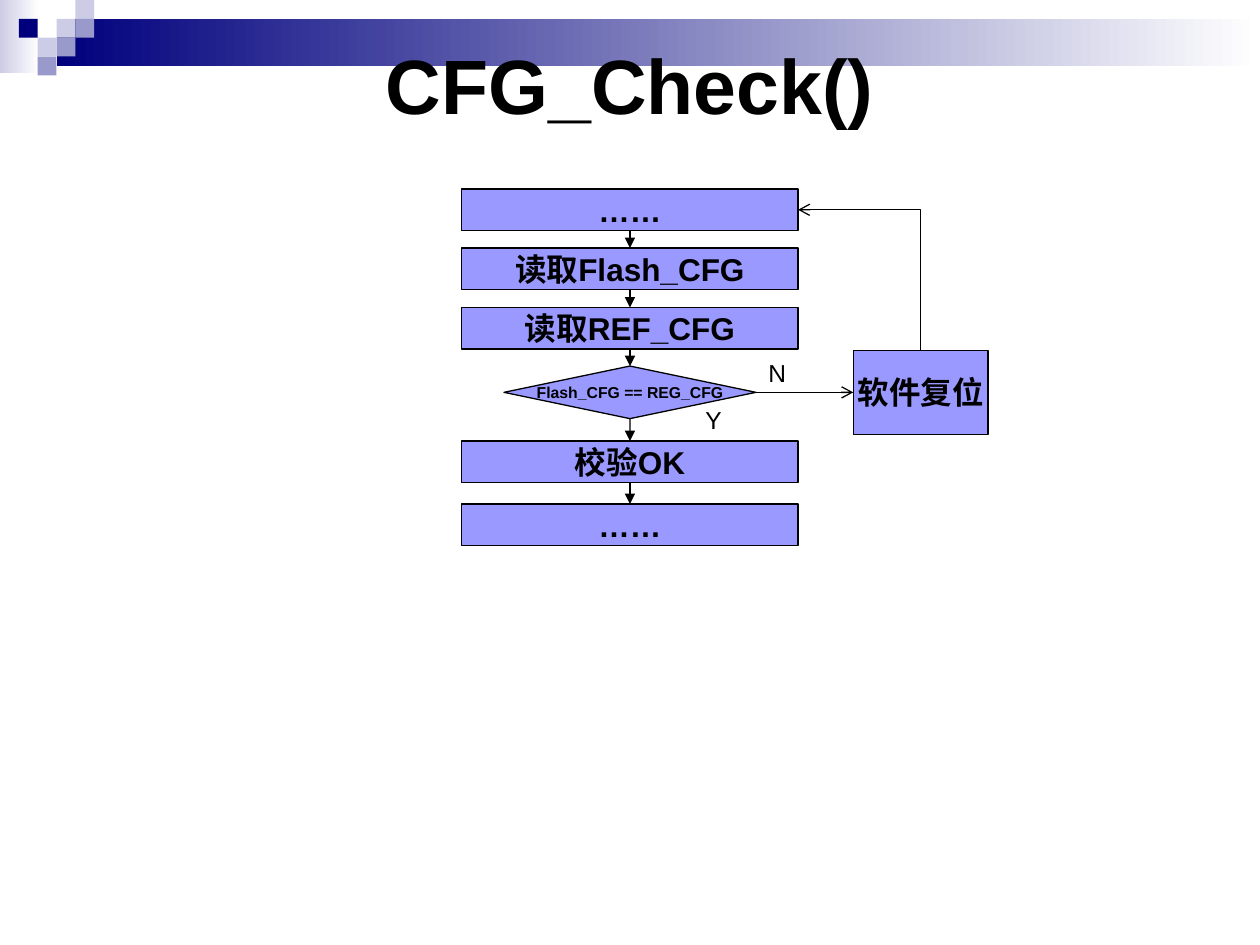
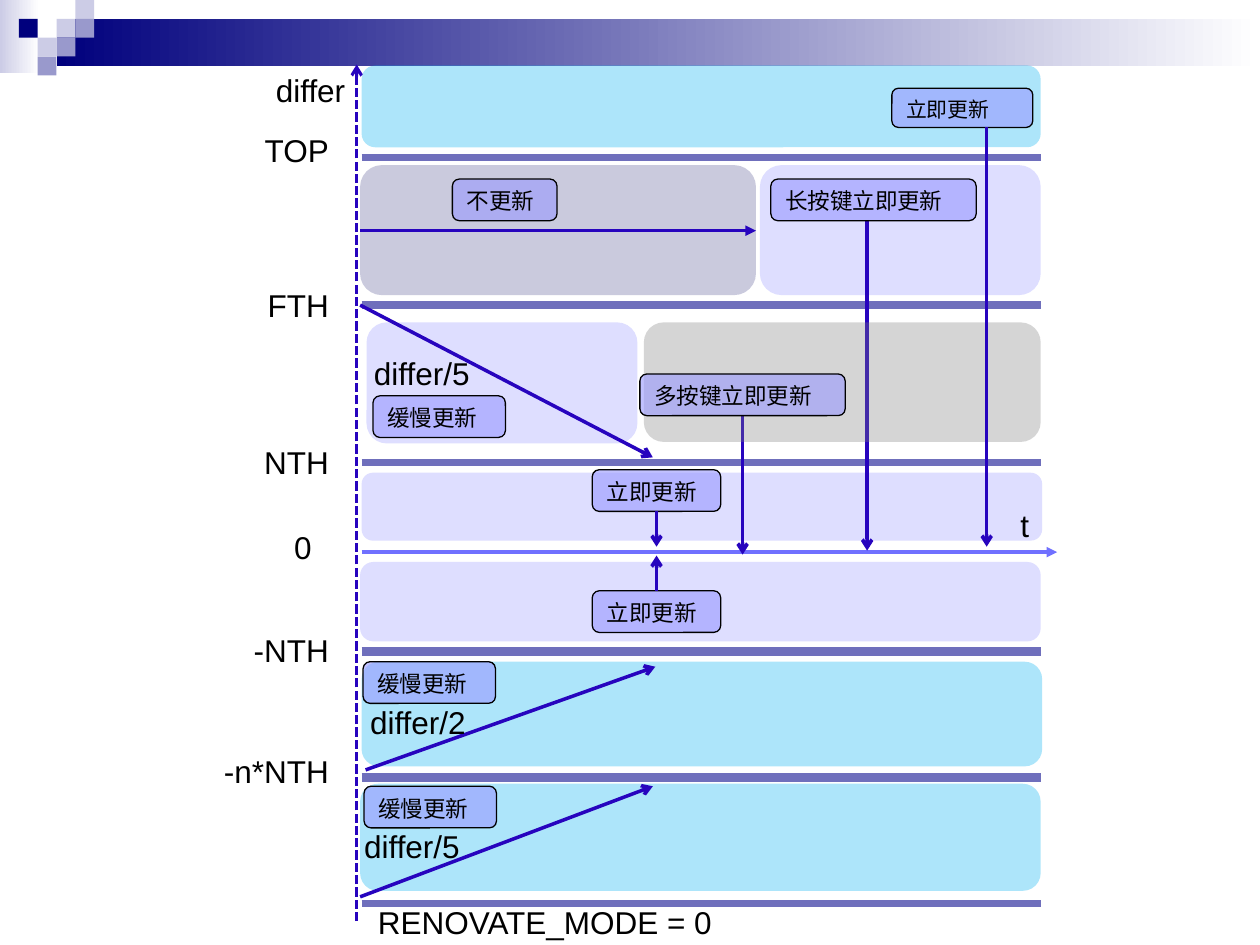
"""Builds two slides: the CFG_Check() flowchart and the update-rule diagram."""
import lxml.etree
import pptx
import pptx.dml.color
import pptx.enum.dml
import pptx.enum.shapes
import pptx.enum.text
import pptx.oxml.ns
import pptx.util

Cm, Pt = pptx.util.Cm, pptx.util.Pt
SHAPE = pptx.enum.shapes.MSO_SHAPE
CONNECTOR = pptx.enum.shapes.MSO_CONNECTOR
ALIGN = pptx.enum.text.PP_ALIGN
ANCHOR = pptx.enum.text.MSO_ANCHOR
TOP, BOTTOM, RIGHT, LEFT = 0, 2, 3, 1

FONT = "Arial"
BLACK, NAVY, LILAC, MAUVE, WHITE = "000000", "00007D", "CCCCE6", "9999CC", "FFFFFF"
PERIWINKLE, SKY, SLATE, GREY = "9999FF", "00B0F0", "5B5B98", "7F7F7F"
ARROW_BLUE, TIME_BLUE, LEVEL_BLUE = "2704BE", "7070FF", "6F6FBC"

BANDS = [(0, 0, 0.79, 1.47, LILAC), (1.14, 0.38, 24.26, 0.95, NAVY)]
TILE = 0.38
TILES = [(3, 1, LILAC), (4, 0, LILAC), (4, 1, MAUVE), (2, 2, LILAC),
         (1, 1, NAVY), (3, 2, MAUVE), (2, 3, MAUVE)]

TITLE = "CFG_Check()"
FLOW_CENTRE = 12.7
STEP_SIZE = (6.78, 0.84)
TEST_SIZE = (5.08, 1.06)
STEPS = [
    ("……", 3.81),
    ("读取Flash_CFG", 5.0),
    ("读取REF_CFG", 6.2),
    ("Flash_CFG == REG_CFG", 7.38),
    ("校验OK", 8.89),
    ("……", 10.16),
]
TEST_STEP = 3
RESET = ("软件复位", 17.2, 7.06, 2.72, 1.7)
ANSWERS = [("Y", 13.97, 8.05), ("N", 15.24, 7.09)]

ZONES = [
    (15.32, 3.33, 5.66, 2.62, PERIWINKLE),
    (7.29, 1.32, 13.69, 1.65, SKY),
    (7.26, 3.33, 7.98, 2.62, SLATE),
    (7.29, 13.34, 13.72, 2.11, SKY),
    (7.29, 9.53, 13.72, 1.37, PERIWINKLE),
    (7.26, 15.8, 13.72, 2.16, SKY),
    (7.39, 6.5, 5.46, 2.44, PERIWINKLE),
    (7.26, 11.33, 13.72, 1.6, PERIWINKLE),
]
MULTI_KEY_ZONE = (12.98, 6.5, 8.0, 2.41, GREY)
LEVEL_SPAN = (7.29, 20.98)
LEVELS = [(3.18, 4), (6.15, 4.59), (9.32, 4), (13.13, 5), (15.67, 5), (18.21, 4)]
LEVEL_LABELS = [
    ("differ", 7.21, 1.3),
    ("TOP", 6.88, 2.51),
    ("FTH", 6.88, 5.64),
    ("NTH", 6.88, 8.81),
    ("0", 6.53, 10.52),
    ("-NTH", 6.88, 12.6),
    ("-n*NTH", 6.88, 15.04),
]
NOTES = [
    ("t", 20.32, 10.08, 1.0),
    ("RENOVATE_MODE = 0", 7.37, 18.08, 7.8),
    ("differ/5", 7.09, 16.54, 2.8),
    ("differ/2", 7.21, 14.05, 2.8),
    ("differ/5", 7.29, 7.01, 2.8),
]
MULTI_KEY = "多按键立即更新"
CALLOUTS = [
    ("长按键立即更新", 15.54, 3.61, 4.14, None),
    ("立即更新", 11.94, 9.47, 2.59, (BOTTOM, 11.02)),
    (MULTI_KEY, 12.9, 7.54, 4.14, (BOTTOM, 11.18)),
    ("缓慢更新", 7.52, 7.98, 2.67, None),
    ("缓慢更新", 7.32, 13.34, 2.67, None),
    ("立即更新", 11.94, 11.91, 2.59, (TOP, 11.2)),
    ("缓慢更新", 7.34, 15.85, 2.67, None),
    ("不更新", 9.12, 3.61, 2.11, None),
]
TOP_CALLOUT = ("立即更新", 17.98, 1.78, 2.84)
TOP_ARROW = (19.89, 2.57, 19.89, 11.02)
HOLD_ARROW = (7.26, 4.65, 15.24, 4.65)
TREND_ARROWS = [
    (7.26, 18.08, 13.16, 15.85),
    (7.37, 15.52, 13.21, 13.44),
    (7.26, 6.15, 13.16, 9.22),
    (17.48, 4.43, 17.48, 11.1),
]
DIFFER_AXIS = (7.19, 18.57, 7.19, 1.3)
TIME_AXIS = (7.29, 11.13, 21.31, 11.13)


def rgb(value):
    """Turn a hex string into a colour."""
    return pptx.dml.color.RGBColor.from_string(value)


def add_xml(parent, tag, **attributes):
    """Append a drawing element to parent."""
    return lxml.etree.SubElement(parent, pptx.oxml.ns.qn(tag), attributes)


def write(shape, text, size, align=ALIGN.LEFT, anchor=ANCHOR.TOP, bold=False, wrap=True):
    """Put one line of styled text in a shape."""
    frame = shape.text_frame
    frame.word_wrap = wrap
    frame.vertical_anchor = anchor
    paragraph = frame.paragraphs[0]
    paragraph.alignment = align
    run = paragraph.add_run()
    run.text = text
    run.font.name, run.font.size, run.font.bold = FONT, Pt(size), bold
    run.font.color.rgb = rgb(BLACK)


def add_label(slide, text, left, top, width, height=1.02, size=18, **style):
    """Add a text box."""
    box = slide.shapes.add_textbox(Cm(left), Cm(top), Cm(width), Cm(height))
    write(box, text, size, **style)


def add_block(slide, kind, left, top, width, height, colour, opacity=100, outlined=False):
    """Add a filled shape."""
    block = slide.shapes.add_shape(kind, Cm(left), Cm(top), Cm(width), Cm(height))
    block.shadow.inherit = False
    block.fill.solid()
    block.fill.fore_color.rgb = rgb(colour)
    if opacity < 100:
        tint = block.fill._xPr.find(".//" + pptx.oxml.ns.qn("a:srgbClr"))
        add_xml(tint, "a:alpha", val=str(opacity * 1000))
    if outlined:
        block.line.color.rgb = rgb(BLACK)
        block.line.width = Pt(0.75)
    else:
        block.line.fill.background()
    return block


def add_line(slide, x1, y1, x2, y2, colour=BLACK, width=0.75, tail=None, head=None,
             kind=CONNECTOR.STRAIGHT, dash=None):
    """Add a connector with optional arrowheads."""
    line = slide.shapes.add_connector(kind, Cm(x1), Cm(y1), Cm(x2), Cm(y2))
    line.line.color.rgb = rgb(colour)
    line.line.width = Pt(width)
    if dash:
        line.line.dash_style = dash
    outline = line.line._get_or_add_ln()
    if head:
        add_xml(outline, "a:headEnd", type=head)
    if tail:
        add_xml(outline, "a:tailEnd", type=tail)
    add_xml(line._element.spPr, "a:effectLst")
    return line


def add_slide(deck):
    """Add a blank slide with the shared header band and tiles."""
    slide = deck.slides.add_slide(deck.slide_layouts[6])
    for left, top, width, height, colour in BANDS:
        band = add_block(slide, SHAPE.RECTANGLE, left, top, width, height, colour)
        band.fill.gradient()
        band.fill.gradient_angle = 0
        for stop, shade in zip(band.fill.gradient_stops, (colour, WHITE)):
            stop.color.rgb = rgb(shade)
    for column, row, colour in TILES:
        add_block(slide, SHAPE.RECTANGLE, column * TILE, row * TILE, TILE, TILE, colour)
    return slide


def build_flowchart(deck):
    """Build the CFG_Check() flowchart."""
    slide = add_slide(deck)
    centred = dict(align=ALIGN.CENTER, anchor=ANCHOR.MIDDLE, bold=True)
    add_label(slide, TITLE, 1.27, 1.27, 22.86, 0.84, size=44, **centred)
    steps = []
    for index, (text, top) in enumerate(STEPS):
        is_test = index == TEST_STEP
        width, height = TEST_SIZE if is_test else STEP_SIZE
        step = add_block(slide, SHAPE.DIAMOND if is_test else SHAPE.RECTANGLE,
                         FLOW_CENTRE - width / 2, top, width, height, PERIWINKLE, outlined=True)
        write(step, text, 9 if is_test else 18, wrap=False, **centred)
        steps.append(step)
    for above, below in zip(steps, steps[1:]):
        link = add_line(slide, 0, 0, 0, 0, tail="triangle")
        link.begin_connect(above, BOTTOM)
        link.end_connect(below, TOP)

    reset_text, *reset_place = RESET
    reset = add_block(slide, SHAPE.RECTANGLE, *reset_place, PERIWINKLE, outlined=True)
    write(reset, reset_text, 18, wrap=False, **centred)
    mismatch = add_line(slide, 0, 0, 0, 0, tail="arrow")
    mismatch.begin_connect(steps[TEST_STEP], RIGHT)
    mismatch.end_connect(reset, LEFT)
    restart = add_line(slide, 0, 0, 0, 0, head="arrow", kind=CONNECTOR.ELBOW)
    restart.begin_connect(steps[0], RIGHT)
    restart.end_connect(reset, TOP)
    restart._element.spPr.find(pptx.oxml.ns.qn("a:prstGeom")).set("prst", "bentConnector2")
    for text, left, top in ANSWERS:
        add_label(slide, text, left, top, 1.0, 0.86, size=14)


def add_callout(slide, text, left, top, width, height=0.84, size=12.9):
    """Add a rounded rule label."""
    callout = add_block(slide, SHAPE.ROUNDED_RECTANGLE, left, top, width, height,
                        PERIWINKLE, opacity=60, outlined=True)
    write(callout, text, size)
    return callout


def build_update_rules(deck):
    """Build the diagram of update rules between thresholds."""
    slide = add_slide(deck)
    rule_arrow = dict(colour=ARROW_BLUE, width=2, tail="arrow")
    for zone in ZONES:
        add_block(slide, SHAPE.ROUNDED_RECTANGLE, *zone, opacity=32)
    add_line(slide, *DIFFER_AXIS, ARROW_BLUE, 1.75, "arrow",
             dash=pptx.enum.dml.MSO_LINE.SQUARE_DOT)
    add_line(slide, *TIME_AXIS, TIME_BLUE, 2, "triangle")
    start, end = LEVEL_SPAN
    for y, width in LEVELS:
        add_line(slide, start, y, end, y, LEVEL_BLUE, width)
    add_line(slide, *HOLD_ARROW, ARROW_BLUE, 2, "triangle")
    for trend in TREND_ARROWS:
        add_line(slide, *trend, **rule_arrow)

    callouts = {}
    for text, left, top, width, pointer in CALLOUTS:
        callouts[text] = add_callout(slide, text, left, top, width)
        if pointer:
            side, tip = pointer
            middle = left + width / 2
            arrow = add_line(slide, middle, top, middle, tip, **rule_arrow)
            arrow.begin_connect(callouts[text], side)
    add_block(slide, SHAPE.ROUNDED_RECTANGLE, *MULTI_KEY_ZONE, opacity=32)
    slide.shapes._spTree.append(callouts[MULTI_KEY]._element)
    add_callout(slide, *TOP_CALLOUT, height=0.79, size=11.9)
    add_line(slide, *TOP_ARROW, **rule_arrow)

    label_width = 3.2
    for text, right, top in LEVEL_LABELS:
        add_label(slide, text, right - label_width, top, label_width, align=ALIGN.RIGHT)
    for text, left, top, width in NOTES:
        add_label(slide, text, left, top, width)


def main():
    """Build and save both slides."""
    deck = pptx.Presentation()
    deck.slide_width, deck.slide_height = Cm(25.4), Cm(19.05)
    build_flowchart(deck)
    build_update_rules(deck)
    deck.save("out.pptx")


if __name__ == "__main__":
    main()
